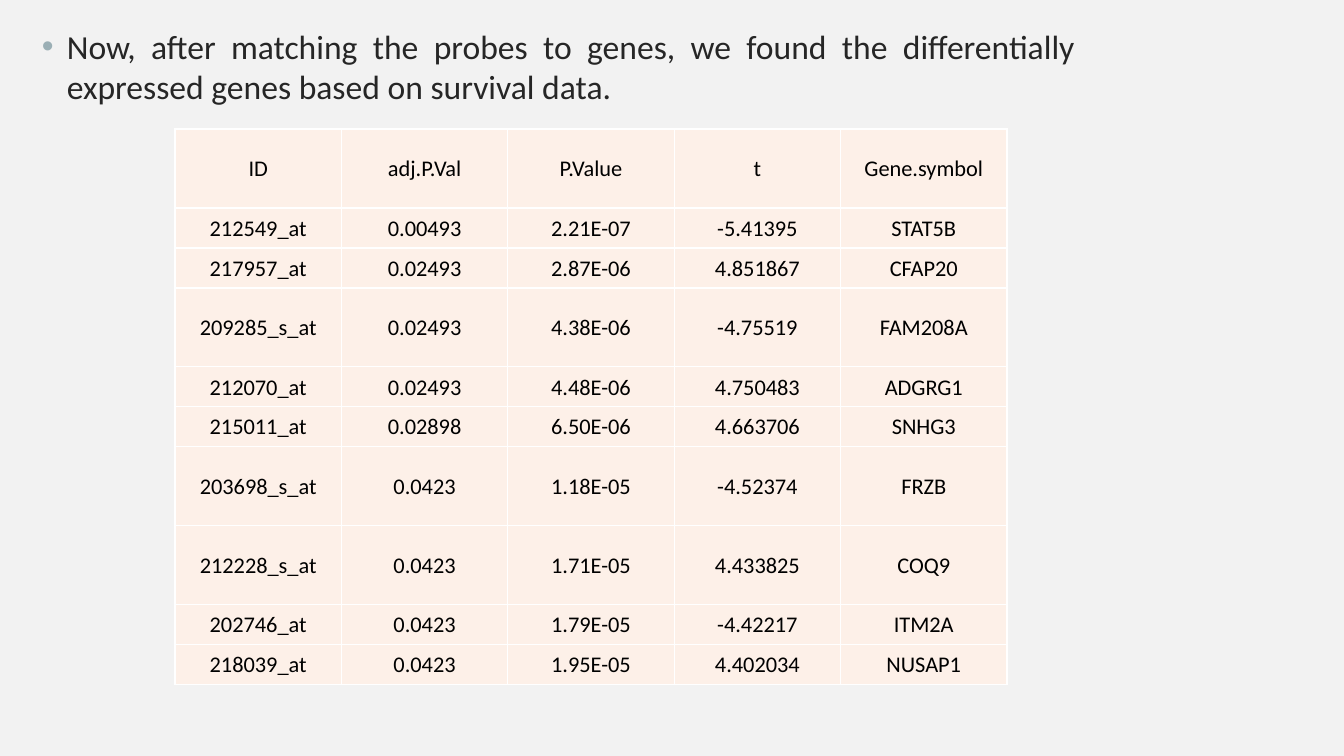
import dataclasses

import pptx
import pptx.dml.color
import pptx.enum.text
import pptx.oxml
import pptx.oxml.ns
import pptx.util

EMU_PER_PX = 12192000 / 1344
FONT = "Calibri"
COLORS = {
    "background": "F2F2F2",
    "statement": "262626",
    "bullet": "9BAFB5",
    "cell": "FDF0E8",
    "border": "FFFFFF",
    "value": "000000",
}


@dataclasses.dataclass(frozen=True)
class GeneRow:
    probe_id: str
    adjusted_p: str
    p_value: str
    t: str
    symbol: str
    height: int = 40


TALL = 79
GENE_ROWS = [
    GeneRow("ID", "adj.P.Val", "P.Value", "t", "Gene.symbol", TALL),
    GeneRow("212549_at", "0.00493", "2.21E-07", "-5.41395", "STAT5B"),
    GeneRow("217957_at", "0.02493", "2.87E-06", "4.851867", "CFAP20"),
    GeneRow("209285_s_at", "0.02493", "4.38E-06", "-4.75519", "FAM208A", TALL),
    GeneRow("212070_at", "0.02493", "4.48E-06", "4.750483", "ADGRG1"),
    GeneRow("215011_at", "0.02898", "6.50E-06", "4.663706", "SNHG3"),
    GeneRow("203698_s_at", "0.0423", "1.18E-05", "-4.52374", "FRZB", TALL),
    GeneRow("212228_s_at", "0.0423", "1.71E-05", "4.433825", "COQ9", TALL),
    GeneRow("202746_at", "0.0423", "1.79E-05", "-4.42217", "ITM2A"),
    GeneRow("218039_at", "0.0423", "1.95E-05", "4.402034", "NUSAP1"),
]


def px(length: int) -> pptx.util.Emu:
    return pptx.util.Emu(round(length * EMU_PER_PX))


def rgb(name: str) -> pptx.dml.color.RGBColor:
    return pptx.dml.color.RGBColor.from_string(COLORS[name])


def apply_format(target, values: dict) -> None:
    for attribute, value in values.items():
        setattr(target, attribute, value)


def write(paragraph, text: str, size: int, color: str, align) -> None:
    paragraph.alignment = align
    run = paragraph.add_run()
    run.text = text
    apply_format(run.font, {"name": FONT, "size": pptx.util.Pt(size)})
    run.font.color.rgb = rgb(color)


def add_bullet(paragraph, indent: int) -> None:
    properties = paragraph._p.get_or_add_pPr()
    properties.set("marL", str(px(indent)))
    properties.set("indent", str(-px(indent)))
    namespace = pptx.oxml.ns.nsdecls("a")
    for xml in (
        f'<a:buClr {namespace}><a:srgbClr val="{COLORS["bullet"]}"/></a:buClr>',
        f'<a:buFont {namespace} typeface="Arial"/>',
        f'<a:buChar {namespace} char="•"/>',
    ):
        properties.append(pptx.oxml.parse_xml(xml))


def add_borders(cell) -> None:
    properties = cell._tc.get_or_add_tcPr()
    namespace = pptx.oxml.ns.nsdecls("a")
    for position, side in enumerate(("lnL", "lnR", "lnT", "lnB")):
        properties.insert(position, pptx.oxml.parse_xml(
            f'<a:{side} {namespace} w="{pptx.util.Pt(1)}"><a:solidFill>'
            f'<a:srgbClr val="{COLORS["border"]}"/></a:solidFill></a:{side}>'
        ))


def add_statement(slide, text: str) -> None:
    frame = slide.shapes.add_textbox(px(32), px(21), px(1053), px(99)).text_frame
    frame.word_wrap = True
    statement = frame.paragraphs[0]
    statement.space_before = pptx.util.Pt(10)
    write(statement, text, 24, "statement", pptx.enum.text.PP_ALIGN.JUSTIFY)
    add_bullet(statement, 25)


def add_gene_table(slide, rows: list[GeneRow]) -> None:
    columns = len(dataclasses.fields(GeneRow)) - 1
    width = px(832)
    height = px(sum(row.height for row in rows))
    genes = slide.shapes.add_table(
        len(rows), columns, px(175), px(129), width, height).table
    apply_format(genes, {"first_row": False, "horz_banding": False})
    cell_format = {
        "vertical_anchor": pptx.enum.text.MSO_ANCHOR.MIDDLE,
        "margin_left": px(1),
        "margin_right": px(1),
        "margin_top": px(1),
        "margin_bottom": px(0),
    }
    for column in genes.columns:
        column.width = width // columns
    for row_index, row in enumerate(rows):
        genes.rows[row_index].height = px(row.height)
        for column_index, value in enumerate(dataclasses.astuple(row)[:columns]):
            cell = genes.cell(row_index, column_index)
            apply_format(cell, cell_format)
            cell.fill.solid()
            cell.fill.fore_color.rgb = rgb("cell")
            add_borders(cell)
            write(cell.text_frame.paragraphs[0], value, 16, "value",
                  pptx.enum.text.PP_ALIGN.CENTER)


def main() -> None:
    # Slide and background
    deck = pptx.Presentation()
    apply_format(deck, {"slide_width": px(1344), "slide_height": px(756)})
    slide = deck.slides.add_slide(deck.slide_layouts[6])
    slide.background.fill.solid()
    slide.background.fill.fore_color.rgb = rgb("background")

    # Statement above the differentially expressed genes
    add_statement(slide, "Now, after matching the probes to genes, we found the "
                         "differentially expressed genes based on survival data.")
    add_gene_table(slide, GENE_ROWS)

    deck.save("out.pptx")


if __name__ == "__main__":
    main()
